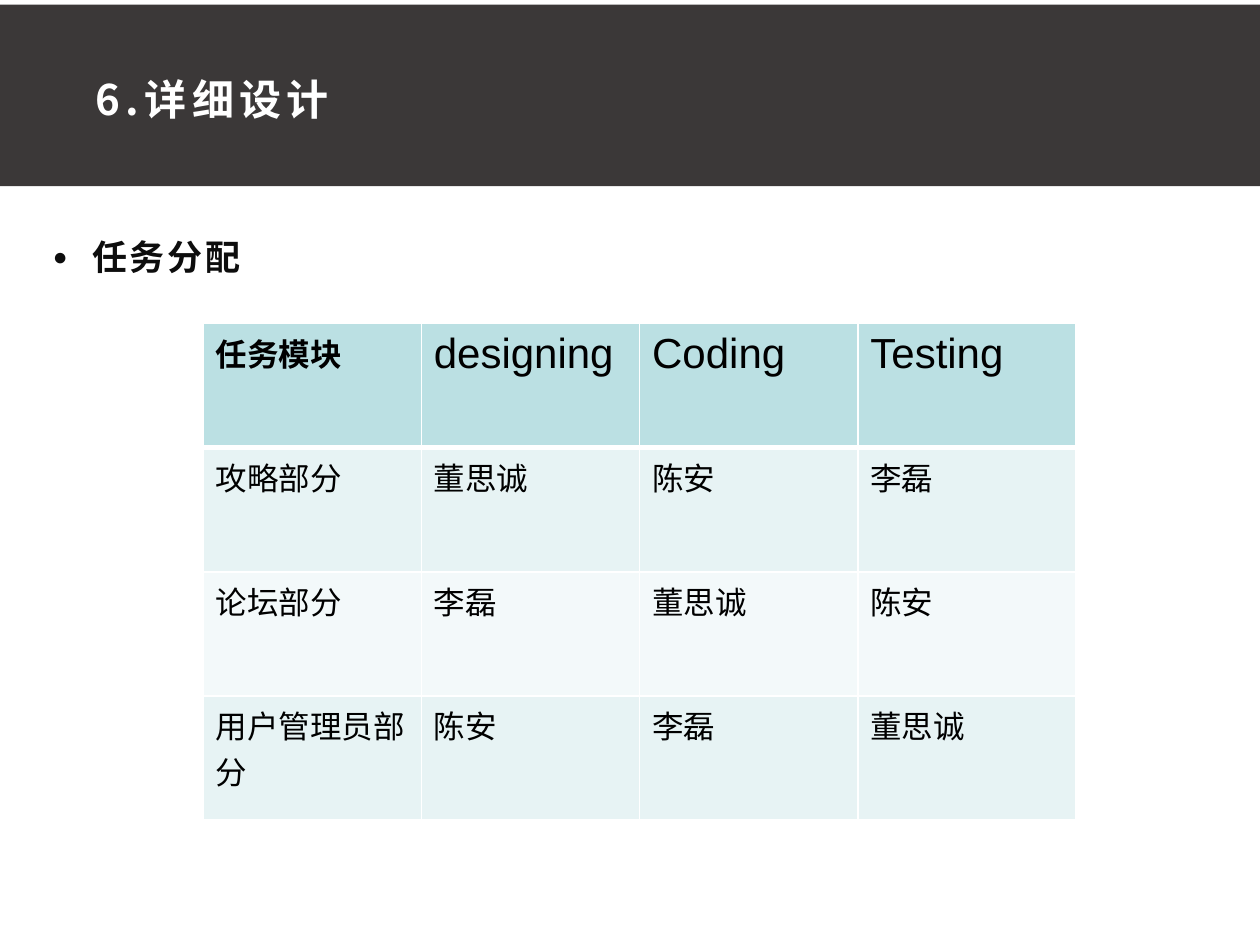
from lxml.etree import SubElement
from pptx import Presentation
from pptx.dml.color import RGBColor
from pptx.enum.shapes import MSO_SHAPE
from pptx.enum.text import MSO_ANCHOR
from pptx.oxml.ns import qn
from pptx.util import Pt

CJK_FONT = "Noto Sans CJK SC"
TITLE = "6.详细设计"
HEADING = "任务分配"
TASKS = [
    ["任务模块", "designing", "Coding", "Testing"],
    ["攻略部分", "董思诚", "陈安", "李磊"],
    ["论坛部分", "李磊", "董思诚", "陈安"],
    ["用户管理员部分", "陈安", "李磊", "董思诚"],
]
HEADER_FILL = "BBE0E3"
BAND_FILLS = ["F3F9FA", "E7F3F4"]
TABLE_LEFT, TABLE_TOP = 116, 185
COLUMN_WIDTH, ROW_HEIGHT = 124.75, 70.9


def color(value):
    return RGBColor.from_string(value)


def write(paragraph, text, font_name, size, hex_color, bold=False, spacing=0):
    run = paragraph.add_run()
    run.text = text
    font = paragraph.font
    font.name, font.size, font.bold = font_name, Pt(size), bold
    font.color.rgb = color(hex_color)
    properties = run._r.get_or_add_rPr()
    if spacing:
        properties.set("spc", str(int(spacing * 100)))
    SubElement(properties, qn("a:ea"), typeface=CJK_FONT)


def add_text_box(slide, bounds, margins, anchor):
    box = slide.shapes.add_textbox(*map(Pt, bounds))
    frame = box.text_frame
    frame.word_wrap = True
    frame.vertical_anchor = anchor
    (frame.margin_left, frame.margin_top,
     frame.margin_right, frame.margin_bottom) = map(Pt, margins)
    return frame.paragraphs[0]


def add_bullet(paragraph, indent):
    properties = paragraph._p.get_or_add_pPr()
    properties.set("marL", str(Pt(indent)))
    properties.set("indent", str(-Pt(indent)))
    SubElement(properties, qn("a:buSzPct"), val="70000")
    SubElement(properties, qn("a:buFont"), typeface="Arial")
    SubElement(properties, qn("a:buChar"), char="●")


def add_borders(cell, widths):
    properties = cell._tc.get_or_add_tcPr()
    for side, width in widths.items():
        line = SubElement(properties, qn(f"a:ln{side}"), w=str(Pt(width)))
        fill = SubElement(line, qn("a:solidFill"))
        SubElement(fill, qn("a:srgbClr"), val="FFFFFF")


def add_task_table(slide):
    rows, columns = len(TASKS), len(TASKS[0])
    table = slide.shapes.add_table(
        rows, columns, Pt(TABLE_LEFT), Pt(TABLE_TOP),
        Pt(COLUMN_WIDTH * columns), Pt(ROW_HEIGHT * rows)).table
    for column in table.columns:
        column.width = Pt(COLUMN_WIDTH)
    for row_index, values in enumerate(TASKS):
        table.rows[row_index].height = Pt(ROW_HEIGHT)
        is_header = row_index == 0
        for column_index, value in enumerate(values):
            cell = table.cell(row_index, column_index)
            add_borders(cell, {"L": 1, "R": 1,
                               "T": 3 if row_index == 1 else 1,
                               "B": 3 if is_header else 1})
            cell.fill.solid()
            cell.fill.fore_color.rgb = color(
                HEADER_FILL if is_header else BAND_FILLS[row_index % 2])
            large = is_header and column_index > 0
            write(cell.text_frame.paragraphs[0], value, "Arial",
                  24 if large else 18, "000000", is_header and not large)


def main():
    presentation = Presentation()
    presentation.slide_width, presentation.slide_height = Pt(720), Pt(540)
    slide = presentation.slides.add_slide(presentation.slide_layouts[6])

    banner = slide.shapes.add_shape(
        MSO_SHAPE.RECTANGLE, Pt(0), Pt(2.7), Pt(720), Pt(103.7))
    banner.shadow.inherit = False
    banner.fill.solid()
    banner.fill.fore_color.rgb = color("3B3838")
    banner.line.fill.background()

    title = add_text_box(slide, (46.8, 38.9, 646.6, 31), (8, 3, 6, 3), MSO_ANCHOR.TOP)
    write(title, TITLE, CJK_FONT, 24, "FFFFFF", True, 3)

    heading = add_text_box(slide, (25.2, 114.5, 242.6, 56.2), (5, 3, 5, 3), MSO_ANCHOR.MIDDLE)
    add_bullet(heading, 22.5)
    heading.line_spacing = Pt(32)
    heading.space_after = Pt(8)
    write(heading, HEADING, CJK_FONT, 20, "0D0D0D", True, 1.5)

    add_task_table(slide)
    presentation.save("out.pptx")


if __name__ == "__main__":
    main()
